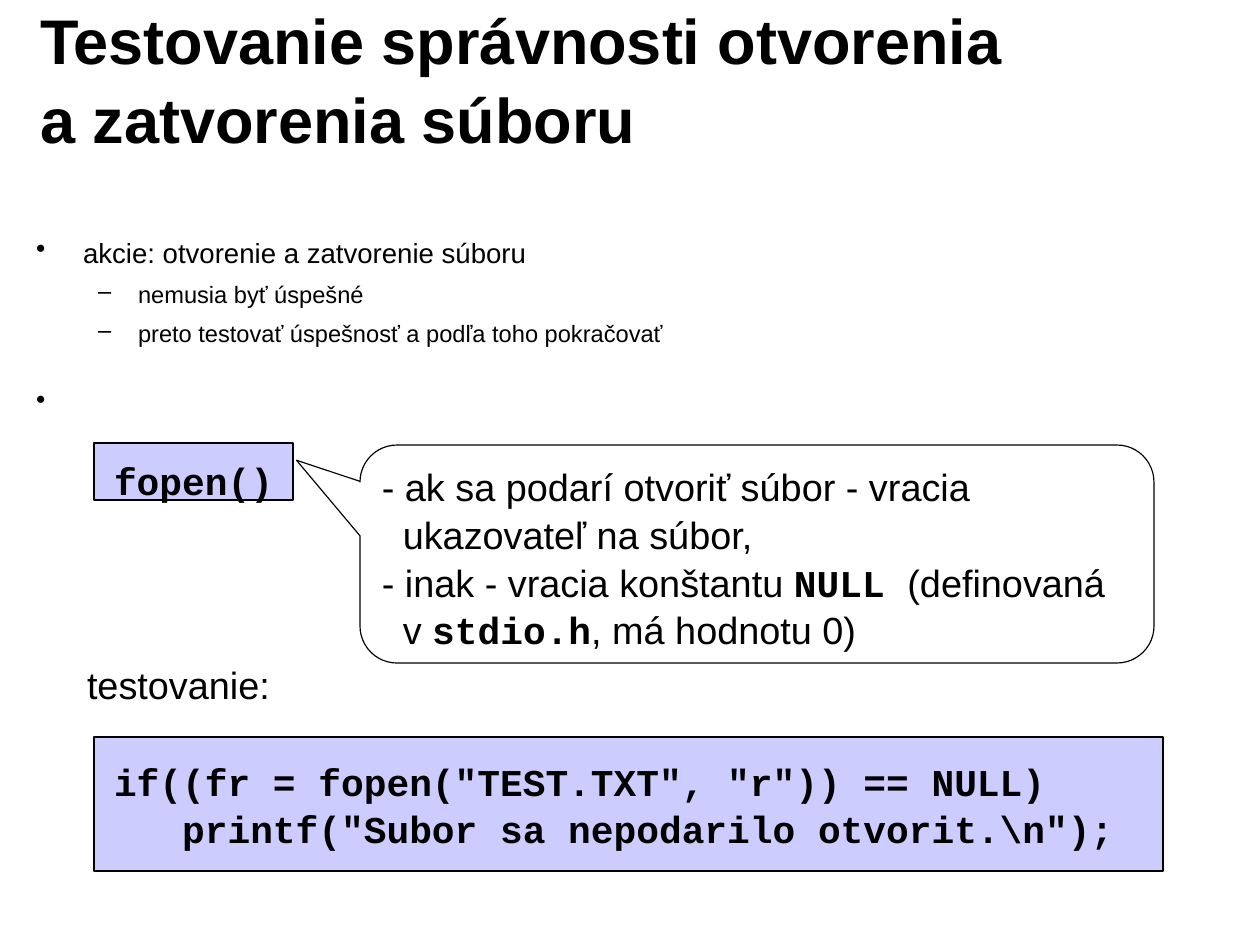
import pptx
import pptx.dml.color
import pptx.enum.shapes
import pptx.enum.text
import pptx.oxml.ns
import pptx.util
from lxml import etree

SCALE = 914400 / 113.5
SLIDE_SIZE = (1260, 942)
BLACK, WHITE, LAVENDER = "000000", "FFFFFF", "CCCCFF"
SANS, MONO = "Arial", "Courier New"
LINE_SPACING = 1.05

TITLE = "Testovanie správnosti otvorenia a zatvorenia súboru"
BULLETS = [
    (0, 0, "akcie: otvorenie a zatvorenie súboru"),
    (1, 6, "nemusia byť úspešné"),
    (1, 6, "preto testovať úspešnosť a podľa toho pokračovať"),
    (0, 24, " "),
]
BULLET_LEVELS = [("•", 47, 47, 17.5), ("–", 102, 40, 15)]
FUNCTION = "fopen()"
EXPLANATION = [
    (0, [("- ak sa podarí otvoriť súbor - vracia", SANS)]),
    (21, [("ukazovateľ na súbor,", SANS)]),
    (0, [("- inak - vracia konštantu ", SANS), ("NULL ", MONO), ("(definovaná", SANS)]),
    (21, [("v ", SANS), ("stdio.h", MONO), (", má hodnotu 0)", SANS)]),
]
TESTING = "testovanie:"
CODE = [
    'if((fr = fopen("TEST.TXT", "r")) == NULL)',
    '   printf("Subor sa nepodarilo otvorit.\\n");',
]

SHAPES = pptx.enum.shapes.MSO_SHAPE
ALIGN = pptx.enum.text.PP_ALIGN
ANCHOR = pptx.enum.text.MSO_ANCHOR


def px(length):
    return round(length * SCALE)


def color(value):
    return pptx.dml.color.RGBColor.from_string(value)


def style(font, size, name=SANS, bold=False):
    font.size = pptx.util.Pt(size)
    font.name = name
    font.bold = bold
    font.color.rgb = color(BLACK)


def prepare_frame(shape, margins, anchor=ANCHOR.TOP):
    frame = shape.text_frame
    frame.word_wrap = True
    frame.vertical_anchor = anchor
    frame.margin_left = frame.margin_right = px(margins[0])
    frame.margin_top = frame.margin_bottom = px(margins[1])
    return frame


def add_text(box, margins, anchor=ANCHOR.TOP):
    shape = slide.shapes.add_textbox(*map(px, box))
    return prepare_frame(shape, margins, anchor)


def add_panel(kind, box, fill, margins):
    shape = slide.shapes.add_shape(kind, *map(px, box))
    shape.shadow.inherit = False
    shape.fill.solid()
    shape.fill.fore_color.rgb = color(fill)
    shape.line.color.rgb = color(BLACK)
    shape.line.width = pptx.util.Pt(0.75)
    return shape, prepare_frame(shape, margins)


def add_paragraph(frame, index, align=ALIGN.LEFT):
    paragraph = frame.add_paragraph() if index else frame.paragraphs[0]
    paragraph.alignment = align
    paragraph.line_spacing = LINE_SPACING
    return paragraph


def write_lines(frame, lines, size, name=SANS, bold=False, align=ALIGN.LEFT):
    for index, line in enumerate(lines):
        paragraph = add_paragraph(frame, index, align)
        paragraph.text = line
        style(paragraph.font, size, name, bold)


def set_bullet(paragraph, mark, left, hanging):
    properties = paragraph._p.get_or_add_pPr()
    properties.set("marL", str(px(left)))
    properties.set("indent", str(-px(hanging)))
    bullet = etree.SubElement(properties, pptx.oxml.ns.qn("a:buChar"))
    bullet.set("char", mark)


presentation = pptx.Presentation()
presentation.slide_width, presentation.slide_height = map(px, SLIDE_SIZE)
slide = presentation.slides.add_slide(presentation.slide_layouts[6])

title = add_text((28, 19, 1012, 116), (12, 7), ANCHOR.MIDDLE)
write_lines(title, [TITLE], 40, bold=True)

body = add_text((24, 227, 1211, 208), (12, 7))
for index, (level, space, line) in enumerate(BULLETS):
    mark, left, hanging, size = BULLET_LEVELS[level]
    paragraph = add_paragraph(body, index)
    paragraph.level = level
    paragraph.space_before = pptx.util.Pt(space)
    paragraph.text = line
    set_bullet(paragraph, mark, left, hanging)
    style(paragraph.font, size)

panel, frame = add_panel(SHAPES.RECTANGLE, (94, 443, 199, 57), LAVENDER, (11, 12))
write_lines(frame, [FUNCTION], 24, MONO, True, ALIGN.CENTER)

callout, frame = add_panel(
    SHAPES.ROUNDED_RECTANGULAR_CALLOUT, (360, 445, 794, 218), WHITE, (11, 6))
for index, value in enumerate((-0.58, -0.43, 0.17)):
    callout.adjustments[index] = value
for index, (indent, runs) in enumerate(EXPLANATION):
    paragraph = add_paragraph(frame, index)
    paragraph._p.get_or_add_pPr().set("marL", str(px(indent)))
    for text, name in runs:
        run = paragraph.add_run()
        run.text = text
        style(run.font, 24, name, name == MONO)

testing = add_text((76, 653, 205, 57), (11, 6))
write_lines(testing, [TESTING], 24, align=ALIGN.CENTER)

panel, frame = add_panel(SHAPES.RECTANGLE, (94, 737, 1069, 134), LAVENDER, (20, 19))
write_lines(frame, CODE, 24, MONO, True)

presentation.save("out.pptx")
